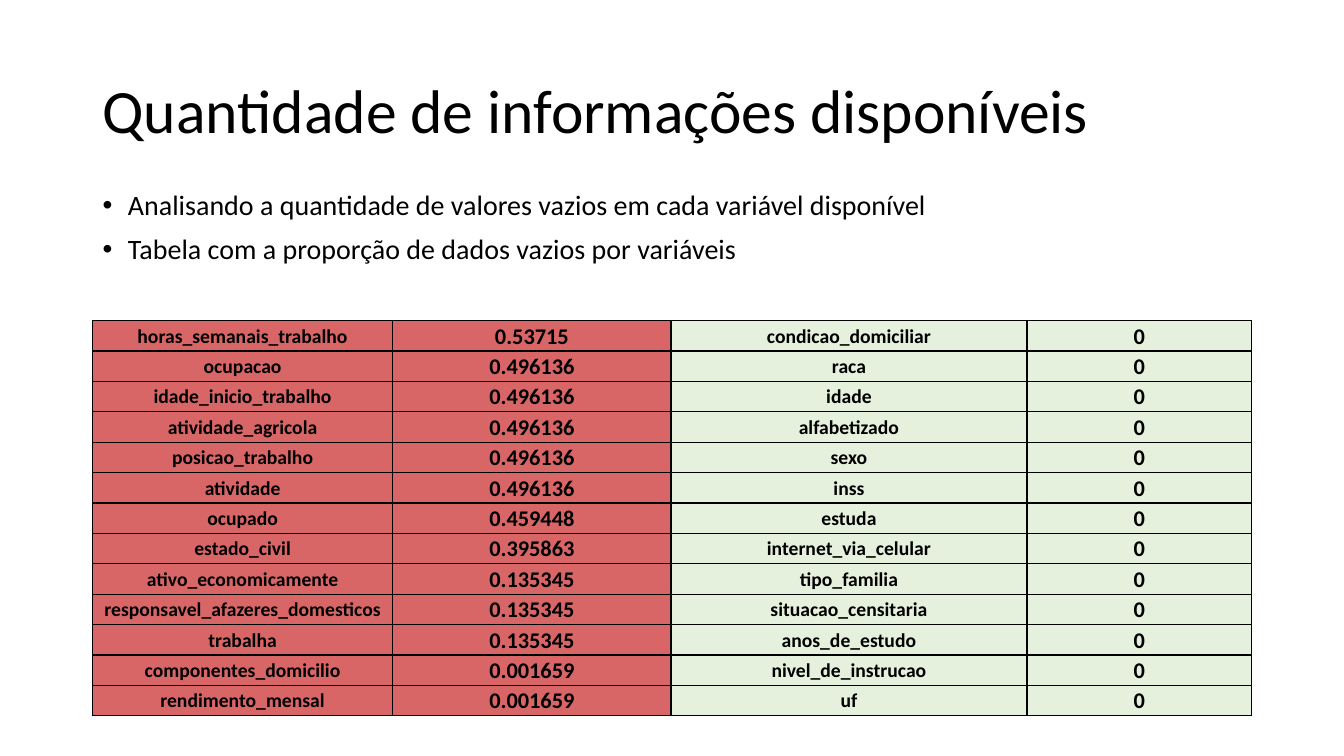
from lxml import etree
from pptx import Presentation
from pptx.dml.color import RGBColor
from pptx.enum.text import MSO_ANCHOR, MSO_AUTO_SIZE, PP_ALIGN
from pptx.oxml.ns import qn
from pptx.util import Cm, Pt

MIDDLE, TOP = MSO_ANCHOR.MIDDLE, MSO_ANCHOR.TOP
LEFT, CENTER = PP_ALIGN.LEFT, PP_ALIGN.CENTER
NO_AUTOFIT = MSO_AUTO_SIZE.NONE

BLACK = RGBColor(0x00, 0x00, 0x00)
RED = RGBColor(0xC0, 0x00, 0x00)
GREEN = RGBColor(0xA9, 0xD1, 0x8E)
FONT = "Calibri"

HEADING = "Quantidade de informações disponíveis"
POINTS = [
    "Analisando a quantidade de valores vazios em cada variável disponível",
    "Tabela com a proporção de dados vazios por variáveis",
]
MISSING = [
    ("horas_semanais_trabalho", "0.53715"),
    ("ocupacao", "0.496136"),
    ("idade_inicio_trabalho", "0.496136"),
    ("atividade_agricola", "0.496136"),
    ("posicao_trabalho", "0.496136"),
    ("atividade", "0.496136"),
    ("ocupado", "0.459448"),
    ("estado_civil", "0.395863"),
    ("ativo_economicamente", "0.135345"),
    ("responsavel_afazeres_domesticos", "0.135345"),
    ("trabalha", "0.135345"),
    ("componentes_domicilio", "0.001659"),
    ("rendimento_mensal", "0.001659"),
]
COMPLETE = [
    "condicao_domiciliar", "raca", "idade", "alfabetizado", "sexo", "inss",
    "estuda", "internet_via_celular", "tipo_familia", "situacao_censitaria",
    "anos_de_estudo", "nivel_de_instrucao", "uf",
]
# Width, text size, fill colour and opacity in percent of each column
COLUMNS = [
    (Cm(7.57), Pt(14), RED, 60),
    (Cm(7.01), Pt(16), RED, 60),
    (Cm(8.97), Pt(14), GREEN, 30),
    (Cm(5.66), Pt(16), GREEN, 30),
]


def add_run(paragraph, text, size, bold=False):
    """Append one formatted run to a paragraph."""
    run = paragraph.add_run()
    run.text = text
    run.font.name, run.font.size, run.font.bold = FONT, size, bold
    run.font.color.rgb = BLACK


def place(placeholder, box, anchor):
    """Move a placeholder into its box and return its text frame."""
    placeholder.left, placeholder.top, placeholder.width, placeholder.height = box
    frame = placeholder.text_frame
    frame.auto_size = NO_AUTOFIT
    frame.vertical_anchor = anchor
    return frame


def fill_heading(placeholder, box):
    """Write the slide heading."""
    paragraph = place(placeholder, box, MIDDLE).paragraphs[0]
    paragraph.alignment = LEFT
    paragraph.line_spacing = 0.9
    add_run(paragraph, HEADING, Pt(44))


def fill_points(placeholder, box):
    """Write the bulleted list."""
    frame = place(placeholder, box, TOP)
    for index, point in enumerate(POINTS):
        paragraph = frame.add_paragraph() if index else frame.paragraphs[0]
        paragraph.line_spacing = 0.9
        paragraph.space_before = Pt(10)
        add_run(paragraph, point, Pt(20))
        properties = paragraph._p.get_or_add_pPr()
        properties.set("marL", str(Cm(0.64)))
        properties.set("indent", str(-Cm(0.64)))
        etree.SubElement(properties, qn("a:buFont"), typeface="Arial")
        etree.SubElement(properties, qn("a:buChar"), char="•")


def style_cell(cell, color, opacity):
    """Give a cell a translucent fill and black 1 pt borders."""
    cell.fill.solid()
    cell.fill.fore_color.rgb = color
    properties = cell._tc.get_or_add_tcPr()
    tint = properties.find(".//" + qn("a:srgbClr"))
    etree.SubElement(tint, qn("a:alpha"), val=str(opacity * 1000))
    for position, side in enumerate(("lnL", "lnR", "lnT", "lnB")):
        border = etree.Element(qn("a:" + side), w=str(Pt(1)))
        solid = etree.SubElement(border, qn("a:solidFill"))
        etree.SubElement(solid, qn("a:srgbClr"), val=str(BLACK))
        properties.insert(position, border)


def add_proportions(slide, box):
    """Add the table of empty-value proportions per variable."""
    rows = [(*missing, name, "0") for missing, name in zip(MISSING, COMPLETE)]
    table = slide.shapes.add_table(len(rows), len(COLUMNS), *box).table
    table.first_row = table.horz_banding = False
    for column, (width, *_) in zip(table.columns, COLUMNS):
        column.width = width
    for row, texts in zip(table.rows, rows):
        row.height = box[3] // len(rows)
        for cell, text, (_, size, color, opacity) in zip(row.cells, texts, COLUMNS):
            cell.margin_left = cell.margin_right = cell.margin_top = Cm(0.03)
            cell.margin_bottom = 0
            cell.vertical_anchor = MIDDLE
            paragraph = cell.text_frame.paragraphs[0]
            paragraph.alignment = CENTER
            add_run(paragraph, text, size, bold=True)
            style_cell(cell, color, opacity)


def build_slide(presentation):
    """Lay out heading, list and table on one slide."""
    slide = presentation.slides.add_slide(presentation.slide_layouts[1])
    left, width = Cm(2.33), Cm(29.21)
    fill_heading(slide.shapes.title, (left, Cm(1.01), width, Cm(3.68)))
    fill_points(slide.placeholders[1], (left, Cm(4.69), width, Cm(12.09)))
    add_proportions(slide, (left, Cm(8.08), width, Cm(9.96)))


presentation = Presentation()
presentation.slide_width, presentation.slide_height = Cm(33.87), Cm(19.05)
build_slide(presentation)
presentation.save("out.pptx")
